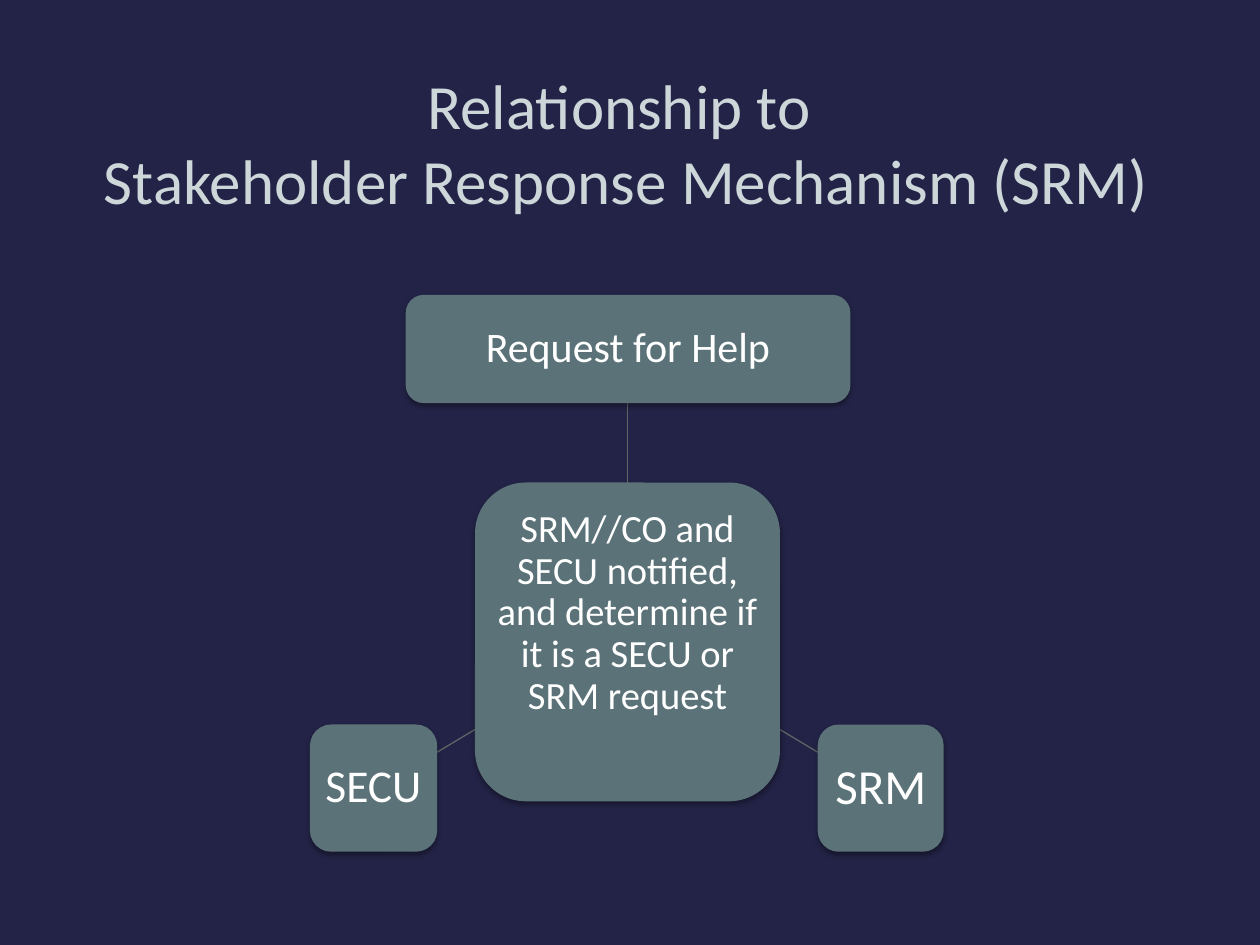
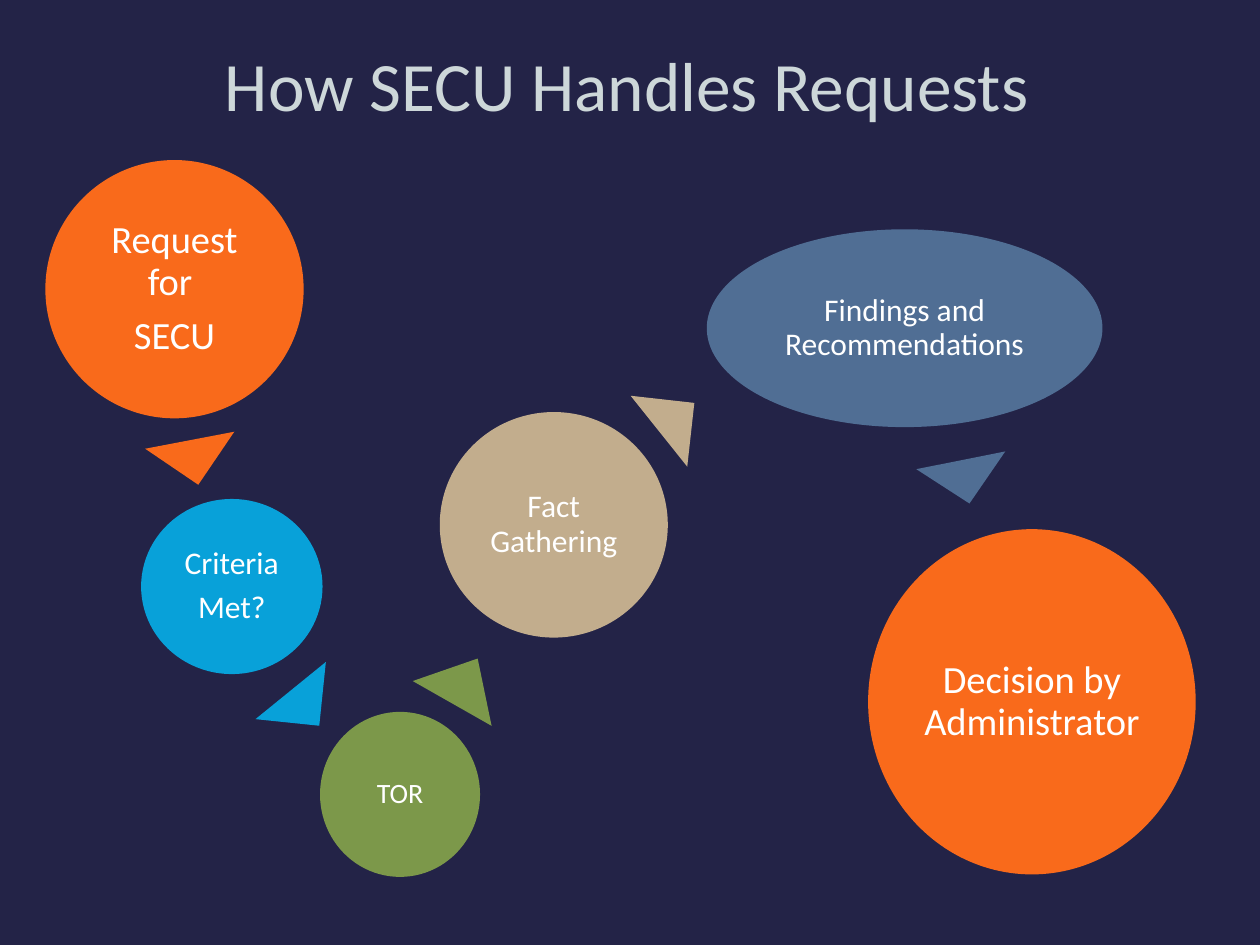
import dataclasses

import lxml.etree
import pptx
import pptx.dml.color
import pptx.enum.shapes
import pptx.enum.text
import pptx.oxml.ns
import pptx.util

Inches = pptx.util.Inches
Pt = pptx.util.Pt
Shapes = pptx.enum.shapes.MSO_SHAPE


def rgb(value):
    return pptx.dml.color.RGBColor.from_string(value)


def apply(target, values):
    for name, value in values.items():
        setattr(target, name, value)


@dataclasses.dataclass(frozen=True)
class Theme:
    font: str = "Calibri"
    background: str = "232347"
    title: str = "CDD7D9"
    text: str = "FFFFFF"
    box: str = "5B7378"
    line: str = "616365"
    shadow: str = "000000"
    orange: str = "F96A1B"
    cyan: str = "08A1D9"
    green: str = "7C984A"
    sand: str = "C2AD8D"
    blue: str = "506E94"
    long_title: float = 36
    short_title: float = 39.6
    tiny: float = 16
    small: float = 18
    medium: float = 22
    large: float = 24
    larger: float = 26
    largest: float = 28


class Deck:
    def __init__(self, theme):
        self.theme = theme
        self.presentation = pptx.Presentation()
        apply(self.presentation, {"slide_width": Inches(10), "slide_height": Inches(7.5)})
        fill = self.presentation.slide_master.background.fill
        fill.solid()
        fill.fore_color.rgb = rgb(theme.background)
        self.slide = None

    def set_text(self, frame, lines, size, color, spacing):
        apply(frame, {
            "word_wrap": True,
            "auto_size": pptx.enum.text.MSO_AUTO_SIZE.NONE,
            "vertical_anchor": pptx.enum.text.MSO_ANCHOR.MIDDLE,
        })
        for index, line in enumerate(lines):
            paragraph = frame.add_paragraph() if index else frame.paragraphs[0]
            paragraph.text = line
            apply(paragraph, {
                "alignment": pptx.enum.text.PP_ALIGN.CENTER,
                "line_spacing": spacing,
                "space_before": Pt(round(size / 3)) if index else Pt(0),
            })
            apply(paragraph.font, {"name": self.theme.font, "size": Pt(size)})
            paragraph.font.color.rgb = rgb(color)

    def start(self, title, place, size):
        self.slide = self.presentation.slides.add_slide(self.presentation.slide_layouts[5])
        shape = self.slide.shapes.title
        apply(shape, dict(zip(("left", "top", "width", "height"), map(Inches, place))))
        self.set_text(shape.text_frame, [title], size, self.theme.title, 1.0)

    def shape(self, kind, place, color):
        shape = self.slide.shapes.add_shape(kind, *map(Inches, place))
        shape.shadow.inherit = False
        shape.fill.solid()
        shape.fill.fore_color.rgb = rgb(color)
        shape.line.fill.background()
        return shape

    def label(self, shape, lines, size, margin, bottom=None):
        apply(shape.text_frame, {f"margin_{side}": Inches(margin) for side in ("left", "top", "right")})
        shape.text_frame.margin_bottom = Inches(margin if bottom is None else bottom)
        self.set_text(shape.text_frame, lines, size, self.theme.text, 0.9)

    def box(self, text, place, size, bottom=None):
        shape = self.shape(Shapes.ROUNDED_RECTANGLE, place, self.theme.box)
        qn = pptx.oxml.ns.qn
        effects = shape._element.spPr.find(qn("a:effectLst"))
        shadow = lxml.etree.SubElement(effects, qn("a:outerShdw"), {
            "blurRad": str(Pt(3.1)), "dist": str(Pt(1.8)), "dir": "5400000", "rotWithShape": "0"})
        color = lxml.etree.SubElement(shadow, qn("a:srgbClr"), val=self.theme.shadow)
        lxml.etree.SubElement(color, qn("a:alpha"), val="35000")
        self.label(shape, [text], size, 0.05, bottom)

    def circle(self, lines, place, color, size):
        self.label(self.shape(Shapes.OVAL, place, color), lines, size, 0.03)

    def pointer(self, place, rotation, color):
        self.shape(Shapes.ISOSCELES_TRIANGLE, place, color).rotation = rotation

    def link(self, start, end):
        connector = self.slide.shapes.add_connector(
            pptx.enum.shapes.MSO_CONNECTOR.STRAIGHT, *map(Inches, (*start, *end)))
        connector.line.color.rgb = rgb(self.theme.line)
        connector.line.width = Pt(0.75)
        lxml.etree.SubElement(connector._element.spPr, pptx.oxml.ns.qn("a:effectLst"))


def build_relationship(deck):
    theme = deck.theme
    deck.start("Relationship to \vStakeholder Response Mechanism (SRM)",
               (0.41, 0.22, 9.12, 1.81), theme.long_title)
    center = 4.98
    deck.link((center, 3.83), (center, 3.2))
    for side in (-1, 1):
        deck.link((center + side * 1.21, 5.79), (center + side * 1.51, 5.97))
    deck.box("SRM//CO and SECU notified, and determine if it is a SECU or SRM request",
             (3.77, 3.83, 2.42, 2.53), theme.medium, bottom=0.5)
    deck.box("Request for Help", (3.22, 2.34, 3.53, 0.86), theme.large)
    deck.box("SRM", (6.49, 5.75, 1, 1.01), theme.largest)
    deck.box("SECU", (2.46, 5.75, 1.01, 1.01), theme.larger)


def build_process(deck):
    theme = deck.theme
    deck.start("How SECU Handles Requests", (0.85, 0.33, 8.25, 0.67), theme.short_title)
    steps = [
        (["Request for ", "SECU"], (0.36, 1.27, 2.05, 2.05), theme.orange, theme.medium,
         (1.18, 3.49, 0.72, 0.36), 169.2),
        (["Criteria", "Met?"], (1.12, 3.96, 1.44, 1.39), theme.cyan, theme.small,
         (2.06, 5.44, 0.72, 0.36), 140.9),
        (["TOR"], (2.54, 5.65, 1.27, 1.31), theme.green, theme.tiny,
         (3.33, 5.2, 0.72, 0.41), 29.6),
        (["Fact Gathering"], (3.49, 3.27, 1.81, 1.79), theme.sand, theme.small,
         (5.01, 3.13, 0.72, 0.36), 51.4),
        (["Findings and Recommendations"], (5.61, 1.82, 3.14, 1.57), theme.blue, theme.small,
         (7.3, 3.65, 0.72, 0.35), 168.7),
        (["Decision by Administrator"], (6.89, 4.2, 2.6, 2.74), theme.orange, theme.medium,
         None, 0),
    ]
    for lines, place, color, size, pointer_place, rotation in steps:
        deck.circle(lines, place, color, size)
        if pointer_place:
            deck.pointer(pointer_place, rotation, color)


def main():
    deck = Deck(Theme())
    build_relationship(deck)
    build_process(deck)
    deck.presentation.save("out.pptx")


if __name__ == "__main__":
    main()
